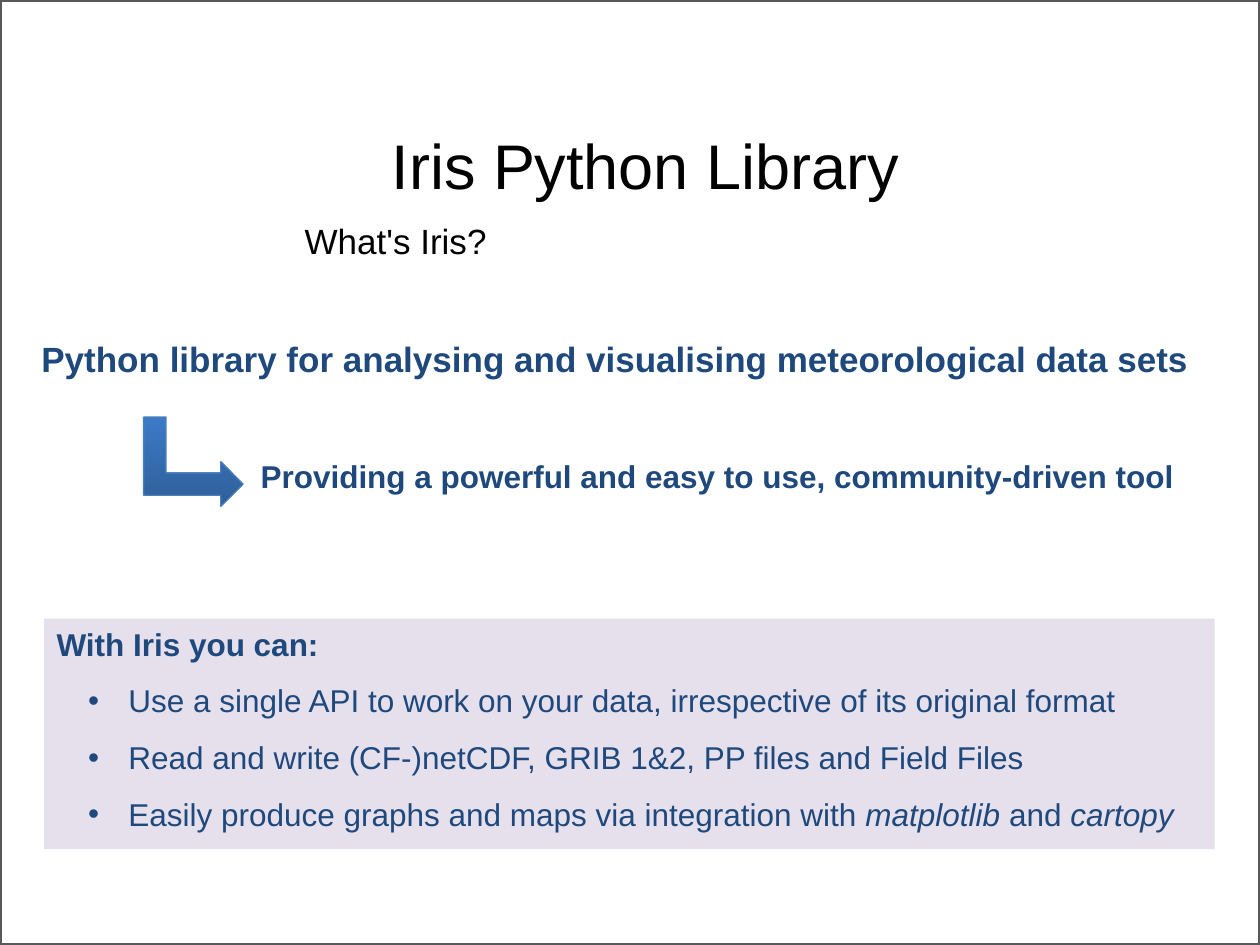
from dataclasses import dataclass

from lxml.etree import SubElement
from pptx import Presentation
from pptx.dml.color import RGBColor
from pptx.enum.shapes import MSO_SHAPE
from pptx.enum.text import MSO_ANCHOR, PP_ALIGN
from pptx.oxml.ns import qn
from pptx.util import Inches, Pt


@dataclass(frozen=True)
class Theme:
    font: str = "Arial"
    black: str = "000000"
    navy: str = "1F497D"
    frame: str = "595959"
    panel: str = "E6E0EC"
    arrow_line: str = "4A7EBB"
    arrow_stops: tuple = ("2E5F99", "3C7AC7")
    title: int = 36
    lead: int = 20
    body: int = 18


class SlideBuilder:
    def __init__(self, page, theme):
        self.page = page
        self.theme = theme

    def fill_para(self, para, spans, size, color, bold=False, spacing=1.0):
        """Fill a paragraph with (text, italic) spans."""
        para.alignment = PP_ALIGN.LEFT
        para.line_spacing = spacing
        for text, italic in spans:
            span = para.add_run()
            span.text = text
            values = {"name": self.theme.font, "size": Pt(size), "bold": bold, "italic": italic}
            for name, value in values.items():
                setattr(span.font, name, value)
            span.font.color.rgb = RGBColor.from_string(color)

    def text(self, at, words, size, color, anchor=MSO_ANCHOR.TOP, **style):
        box = self.page.shapes.add_textbox(*map(Inches, at))
        box.text_frame.word_wrap = True
        box.text_frame.vertical_anchor = anchor
        self.fill_para(box.text_frame.paragraphs[0], [(words, False)], size, color, **style)

    def shape(self, kind, at, fill=None, line=None, width=0.75):
        shape = self.page.shapes.add_shape(kind, *map(Inches, at))
        shape.shadow.inherit = False
        if fill:
            shape.fill.solid()
            shape.fill.fore_color.rgb = RGBColor.from_string(fill)
        else:
            shape.fill.background()
        if line:
            shape.line.color.rgb = RGBColor.from_string(line)
            shape.line.width = Pt(width)
        else:
            shape.line.fill.background()
        return shape

    def arrow(self, at):
        arrow = self.shape(MSO_SHAPE.BENT_UP_ARROW, at, line=self.theme.arrow_line)
        arrow.rotation = 90
        arrow.fill.gradient()
        arrow.fill.gradient_angle = 180
        for stop, color in zip(arrow.fill.gradient_stops, self.theme.arrow_stops):
            stop.color.rgb = RGBColor.from_string(color)

    def bullet(self, para, indent, hanging):
        props = para._p.get_or_add_pPr()
        props.set("marL", str(Inches(indent)))
        props.set("indent", str(-Inches(hanging)))
        SubElement(props, qn("a:buFont"), typeface=self.theme.font)
        SubElement(props, qn("a:buChar"), char="•")

    def panel(self, at, heading, items):
        theme = self.theme
        frame = self.shape(MSO_SHAPE.RECTANGLE, at, fill=theme.panel).text_frame
        frame.word_wrap = True
        frame.vertical_anchor = MSO_ANCHOR.TOP
        self.fill_para(frame.paragraphs[0], [(heading, False)], theme.body, theme.navy, bold=True)
        for spans in items:
            para = frame.add_paragraph()
            para.level = 1
            self.bullet(para, 0.57, 0.32)
            self.fill_para(para, spans, theme.body, theme.navy, spacing=1.5)


def main():
    deck = Presentation()
    deck.slide_width, deck.slide_height = Inches(10), Inches(7.5)
    theme = Theme()
    builder = SlideBuilder(deck.slides.add_slide(deck.slide_layouts[6]), theme)

    # Slide frame
    builder.shape(MSO_SHAPE.RECTANGLE, (0, 0, 10, 7.5), line=theme.frame, width=2.25)

    # Title and subtitle
    builder.text((3.01, 0.63, 6.95, 1.02), "Iris Python Library",
                 theme.title, theme.black, anchor=MSO_ANCHOR.BOTTOM)
    builder.text((2.32, 1.69, 7.64, 0.55), "What's Iris?", theme.lead, theme.black)

    # Definition and its aim
    statement = {"color": theme.navy, "bold": True, "spacing": 0.85}
    builder.text((0.23, 2.68, 9.69, 0.43),
                 "Python library for analysing and visualising meteorological data sets",
                 theme.lead, **statement)
    builder.arrow((1.18, 3.27, 0.71, 0.79))
    builder.text((1.97, 3.62, 7.87, 0.65),
                 "Providing a powerful and easy to use, community-driven tool",
                 theme.body, **statement)

    # Capabilities
    builder.panel((0.35, 4.91, 9.29, 1.83), "With Iris you can:", [
        [("Use a single API to work on your data, irrespective of its original format", False)],
        [("Read and write (CF-)netCDF, GRIB 1&2, PP files and Field Files", False)],
        [("Easily produce graphs and maps via integration with ", False),
         ("matplotlib", True), (" and ", False), ("cartopy", True)],
    ])

    deck.save("out.pptx")


if __name__ == "__main__":
    main()
